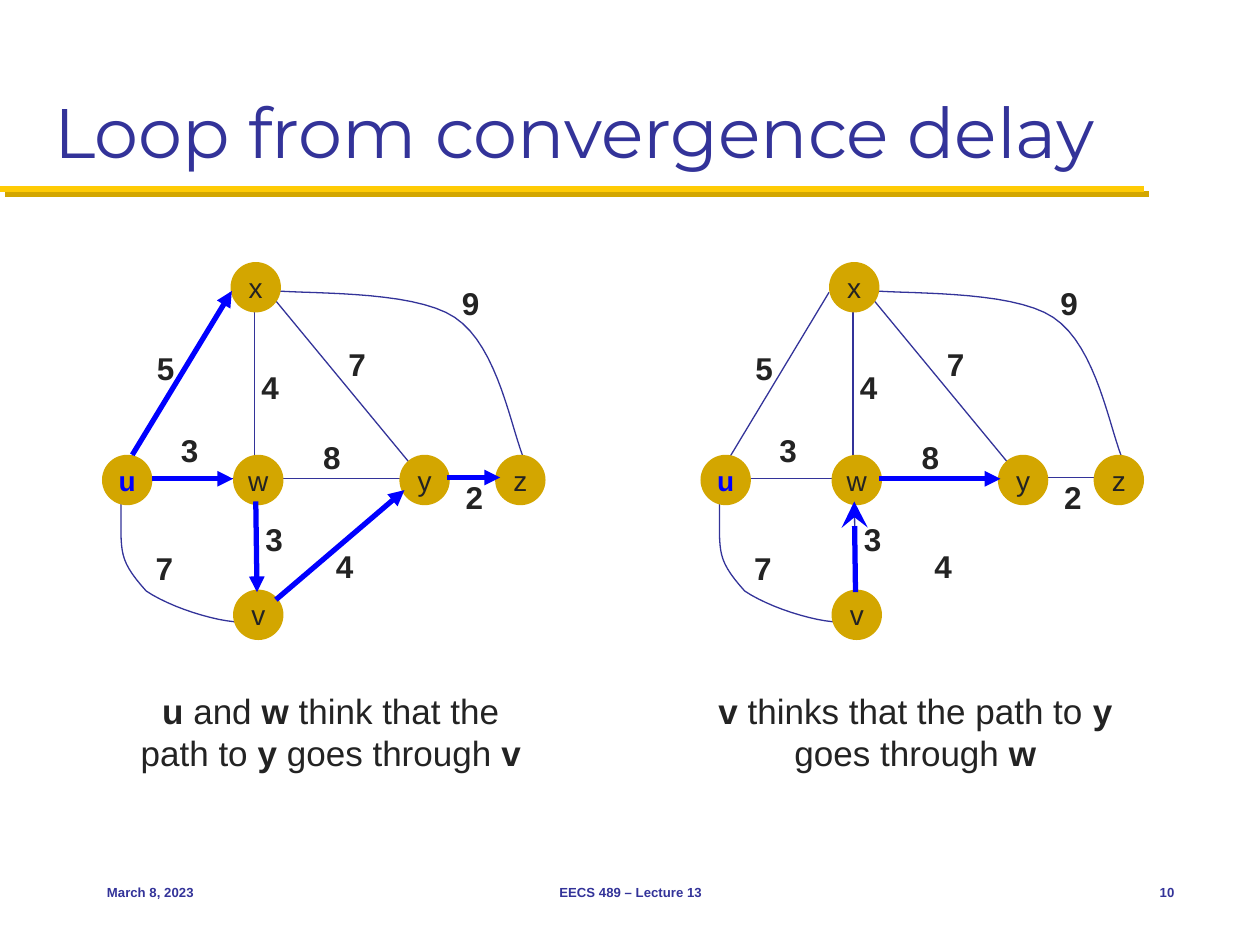
from lxml import etree
from pptx import Presentation
from pptx.dml.color import RGBColor
from pptx.enum.shapes import MSO_CONNECTOR, MSO_SHAPE
from pptx.enum.text import MSO_ANCHOR, MSO_AUTO_SIZE, PP_ALIGN
from pptx.oxml.ns import qn
from pptx.util import Inches, Pt

LINE, OVAL = MSO_CONNECTOR.STRAIGHT, MSO_SHAPE.OVAL
TOP, MID, LOW = MSO_ANCHOR.TOP, MSO_ANCHOR.MIDDLE, MSO_ANCHOR.BOTTOM
LEFT, CENTER, RIGHT = PP_ALIGN.LEFT, PP_ALIGN.CENTER, PP_ALIGN.RIGHT
FIT = MSO_AUTO_SIZE.NONE

COLORS = {"ink": "232323", "navy": "333399", "blue": "0000FF",
          "gold": "D3A600", "maize": "FFCB05"}
COLS, ROWS = 100, 75
NODE = 4
SHIFT = 47.5

NODES = {"x": (18.3, 20.8), "u": (8.1, 36.1), "z": (39.3, 36.1),
         "v": (18.5, 46.8), "y": (31.7, 36.1), "w": (18.5, 36.1)}
EDGES = [(11.3, 38, 19.3, 38), (20.2, 24, 20.2, 36.6),
         (18.3, 23.2, 9.8, 37.3), (20.3, 38.7, 20.4, 47.9),
         (35.5, 37.9, 39.9, 37.9), (21, 22.8, 33.3, 37.7),
         (22.3, 38, 31.9, 38)]
CURVES = [[(9.6, 38.9), (9.7, 43.7), (9.1, 44.1), (11.6, 46.9),
           (14.1, 48.6), (19.7, 50.1), (20.5, 49)],
          [(21, 23), (23.6, 23.4), (32.7, 22.9), (36.1, 25.2),
           (39.6, 27.5), (40.6, 34.3), (41.7, 36.7)]]
COSTS = [("3", 13.7, 34.2), ("4", 20.1, 29.2), ("5", 11.8, 27.7),
         ("3", 20.4, 41.3), ("7", 11.7, 43.6), ("4", 26, 43.4),
         ("8", 25, 34.8), ("2", 36.3, 37.9), ("7", 27, 27.4),
         ("9", 36, 22.5)]
TAIL, HEAD = ("tailEnd", "triangle", "med"), ("headEnd", "stealth", "lg")
PANELS = [
    (0, 9.2, "*u* and *w* think that the path to *y* goes through *v*",
     [((35.5, 37.9, 39.7, 37.9), TAIL), ((20.3, 39.8, 20.4, 47), TAIL),
      ((10.5, 36.1, 18.4, 23.1), TAIL), ((12.1, 38, 18.5, 38), TAIL),
      ((21.9, 47.6, 32.1, 38.9), TAIL)]),
    (SHIFT, 55.6, "*v* thinks that the path to *y* goes through *w*",
     [((22.3, 38, 31.9, 38), TAIL), ((20.3, 39.8, 20.4, 47), HEAD)]),
]


class Deck:
    """Draws styled elements on the current slide, in grid cells."""

    def __init__(self):
        self.prs = Presentation()
        self.prs.slide_width, self.prs.slide_height = Inches(10), Inches(7.5)
        self.slide = self.prs.slides.add_slide(self.prs.slide_layouts[5])
        self.shapes = self.slide.shapes
        self.shift = 0

    def color(self, name):
        return RGBColor.from_string(COLORS[name])

    def spot(self, col, row):
        return self.size(col + self.shift, row)

    def size(self, cols, rows):
        return (round(cols * self.prs.slide_width / COLS),
                round(rows * self.prs.slide_height / ROWS))

    def group(self, shift):
        self.shapes = self.slide.shapes.add_group_shape().shapes
        self.shift = shift

    def leave(self):
        self.shapes, self.shift = self.slide.shapes, 0

    def letter(self, shape, text, size, color="ink", bold=False, align=CENTER,
               anchor=MID, wrap=False, pad=(0, 0), font="Arial"):
        frame = shape.text_frame
        frame.auto_size, frame.word_wrap = FIT, wrap
        frame.vertical_anchor = anchor
        frame.margin_left = frame.margin_right = Inches(pad[0])
        frame.margin_top = frame.margin_bottom = Inches(pad[1])
        para = frame.paragraphs[0]
        para.alignment = align
        for i, part in enumerate(text.split("*")):
            if part:
                run = para.add_run()
                run.text = part
                run.font.size, run.font.name = Pt(size), font
                run.font.bold = bold or i % 2 == 1
                run.font.color.rgb = self.color(color)

    def title(self, text, box):
        shape = self.slide.shapes.title
        shape.left, shape.top = self.spot(*box[:2])
        shape.width, shape.height = self.size(*box[2:])
        self.letter(shape, text, 40, "navy", align=LEFT, anchor=LOW,
                    wrap=True, pad=(0.1, 0.05), font="Montserrat")

    def text(self, text, box, size, **style):
        shape = self.shapes.add_textbox(*self.spot(*box[:2]),
                                        *self.size(*box[2:]))
        self.letter(shape, text, size, **style)

    def node(self, name, col, row):
        shape = self.shapes.add_shape(OVAL, *self.spot(col, row),
                                      *self.size(NODE, NODE))
        shape.shadow.inherit = False
        shape.fill.solid()
        shape.fill.fore_color.rgb = self.color("gold")
        shape.line.fill.background()
        hot = name == "u"
        self.letter(shape, name, 16, "blue" if hot else "ink", hot)

    def line(self, ends, color="navy", width=0.75, tip=None, shade=None):
        link = self.shapes.add_connector(LINE, *self.spot(*ends[:2]),
                                         *self.spot(*ends[2:]))
        link.line.color.rgb = self.color(color)
        link.line.width = Pt(width)
        props = link._element.spPr
        if tip:
            tag, kind, span = tip
            etree.SubElement(props.find(qn("a:ln")), qn("a:" + tag),
                             type=kind, w=span, len=span)
        fx = etree.SubElement(props, qn("a:effectLst"))
        if shade:
            cast = etree.SubElement(fx, qn("a:outerShdw"),
                                    dist=str(int(Pt(4.2))), dir="2700000",
                                    algn="ctr", rotWithShape="0")
            etree.SubElement(cast, qn("a:srgbClr"), val=COLORS[shade])

    def curve(self, knots, steps=16):
        dots = []
        for i in range(0, len(knots) - 1, 3):
            a, b, c, d = knots[i:i + 4]
            for n in range(1, steps + 1):
                t = n / steps
                s = 1 - t
                dots.append(self.spot(*(
                    s**3 * p + 3 * s * s * t * q + 3 * s * t * t * r + t**3 * e
                    for p, q, r, e in zip(a, b, c, d))))
        pen = self.shapes.build_freeform(*self.spot(*knots[0]))
        pen.add_line_segments(dots, close=False)
        shape = pen.convert_to_shape()
        shape.shadow.inherit = False
        shape.fill.background()
        shape.line.color.rgb = self.color("navy")
        shape.line.width = Pt(0.75)

    def graph(self, shift, hops):
        self.group(shift)
        for ends in EDGES:
            self.line(ends)
        for knots in CURVES:
            self.curve(knots)
        for cost, col, row in COSTS:
            self.text(cost, (col, row, 2.7, 3.2), 18, bold=True, anchor=TOP)
        for name, place in NODES.items():
            self.node(name, *place)
        for ends, tip in hops:
            self.line(ends, "blue", 3, tip)
        self.leave()


deck = Deck()
deck.line((0, 15, 90.8, 15), "maize", 3.5, shade="gold")
deck.title("Loop from convergence delay", (3.3, 1.7, 93.3, 12.5))
for shift, left, words, hops in PANELS:
    deck.graph(shift, hops)
    deck.text(words, (left, 54.2, 34.1, 7.7), 20, anchor=TOP, wrap=True,
              pad=(0.1, 0.05))
for words, left, width, align in [
        ("March 8, 2023", 7.5, 20.8, LEFT),
        ("EECS 489 – Lecture 13", 34.2, 31.7, CENTER),
        ("10", 87.5, 6.7, RIGHT)]:
    deck.text(words, (left, 68.3, width, 5), 7.5, color="navy", bold=True,
              align=align, pad=(0.1, 0.05))
deck.prs.save("out.pptx")
